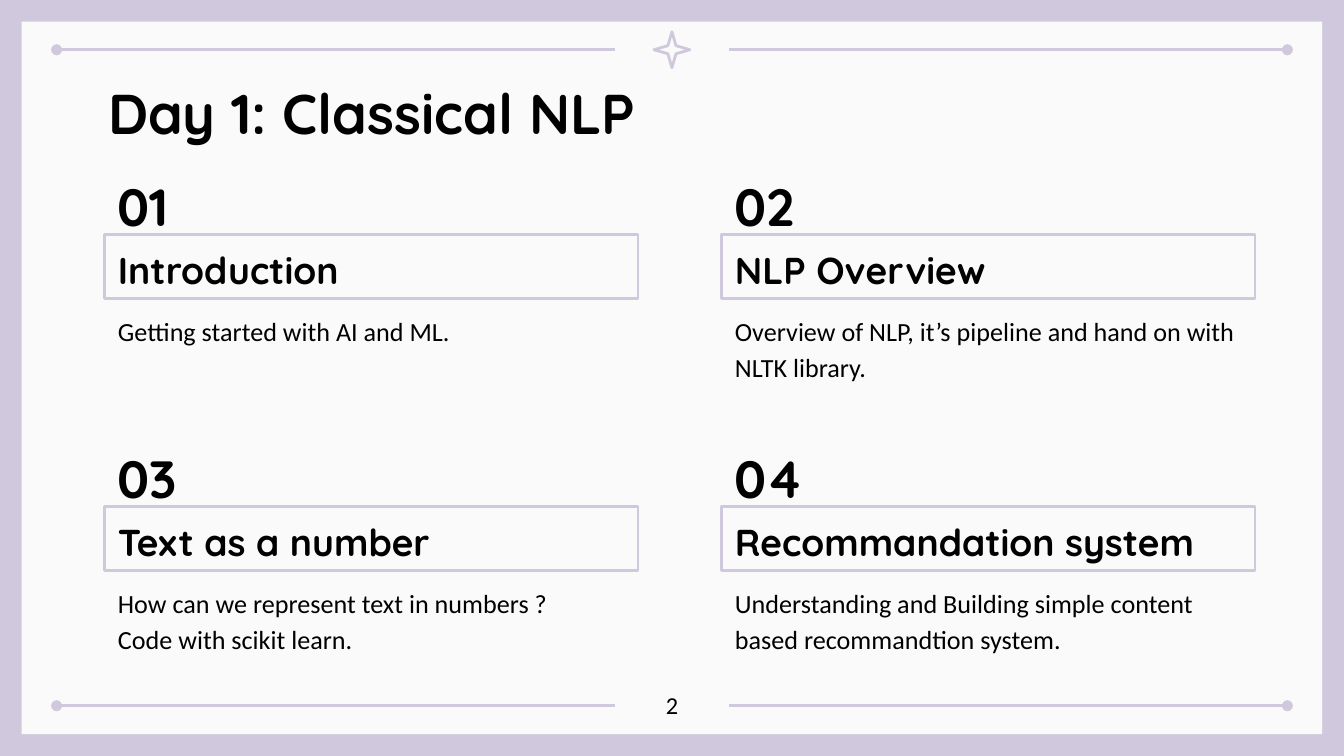
from lxml.etree import SubElement
from pptx import Presentation
from pptx.dml.color import RGBColor
from pptx.enum.shapes import MSO_CONNECTOR, MSO_SHAPE
from pptx.enum.text import MSO_ANCHOR, PP_ALIGN
from pptx.oxml.ns import qn
from pptx.util import Cm, Pt

LILAC = RGBColor(0xD0, 0xC9, 0xDD)
PAPER = RGBColor(0xFA, 0xFA, 0xFA)
BLACK = RGBColor(0, 0, 0)
HEAD_FONT = "Quicksand"
BODY_FONT = "Calibri"

WIDTH, HEIGHT = 25.4, 14.28
MARGIN = 0.41
LEFT, COLUMN_STEP = 1.98, 11.66
TOP, ROW_STEP = 3.18, 5.14
TOPIC_WIDTH = 10.08
TOPICS = [
    ("Introduction", ["Getting started with AI and ML."]),
    ("NLP Overview",
     ["Overview of NLP, it’s pipeline and hand on with NLTK library."]),
    ("Text as a number",
     ["How can we represent text in numbers ?", "Code with scikit learn."]),
    ("Recommandation system",
     ["Understanding and Building simple content based recommandtion system."]),
]


def write(sp, lines, size, font=BODY_FONT, bold=False, spacing=1.0,
          align=PP_ALIGN.LEFT, anchor=MSO_ANCHOR.TOP):
    tf = sp.text_frame
    tf.word_wrap = True
    tf.vertical_anchor = anchor
    tf.margin_left = tf.margin_right = Cm(0.25)
    tf.margin_top = tf.margin_bottom = Cm(0.25)
    for i, line in enumerate(lines):
        p = tf.add_paragraph() if i else tf.paragraphs[0]
        p.alignment = align
        p.line_spacing = spacing
        r = p.add_run()
        r.text = line
        r.font.name = font
        r.font.size = Pt(size)
        r.font.bold = bold
        r.font.color.rgb = BLACK


def add_text(s, x, y, w, h, lines, size, **fmt):
    sp = s.shapes.add_textbox(Cm(x), Cm(y), Cm(w), Cm(h))
    write(sp, lines, size, **fmt)


def add_outline(s, kind, x, y, w, h):
    sp = s.shapes.add_shape(kind, Cm(x), Cm(y), Cm(w), Cm(h))
    sp.shadow.inherit = False
    sp.fill.background()
    sp.line.color.rgb = LILAC
    sp.line.width = Pt(1.5)
    return sp


def add_rule(s, x1, x2, y, dot):
    line = s.shapes.add_connector(MSO_CONNECTOR.STRAIGHT,
                                  Cm(x1), Cm(y), Cm(x2), Cm(y))
    line.line.color.rgb = LILAC
    line.line.width = Pt(1.5)
    SubElement(line.line._get_or_add_ln(), qn(f"a:{dot}"), type="oval")
    SubElement(line._element.spPr, qn("a:effectLst"))


def add_frame(s):
    s.background.fill.solid()
    s.background.fill.fore_color.rgb = LILAC
    paper = s.shapes.add_shape(
        MSO_SHAPE.RECTANGLE, Cm(MARGIN), Cm(MARGIN),
        Cm(WIDTH - 2 * MARGIN), Cm(HEIGHT - 2 * MARGIN))
    paper.shadow.inherit = False
    paper.fill.solid()
    paper.fill.fore_color.rgb = PAPER
    paper.line.fill.background()
    for y in (0.94, 13.33):
        add_rule(s, 1.07, 11.63, y, "headEnd")
        add_rule(s, WIDTH - 11.63, WIDTH - 1.07, y, "tailEnd")
    star = add_outline(s, MSO_SHAPE.STAR_4_POINT, 12.36, 0.6, 0.68, 0.68)
    star.adjustments[0] = 0.16


def add_topic(s, index, heading, body):
    row, column = divmod(index, 2)
    x, y = LEFT + column * COLUMN_STEP, TOP + row * ROW_STEP
    fmt = dict(font=HEAD_FONT, bold=True, spacing=1.15,
               anchor=MSO_ANCHOR.MIDDLE)
    add_text(s, x, y, 1.83, 1.22, [f"{index + 1:02}"], 28, **fmt)
    box = add_outline(s, MSO_SHAPE.RECTANGLE, x, y + 1.25, TOPIC_WIDTH, 1.21)
    write(box, [heading], 20, **fmt)
    add_text(s, x, y + 2.44, TOPIC_WIDTH, 1.5, body, 14, spacing=1.15)


def main():
    prs = Presentation()
    prs.slide_width, prs.slide_height = Cm(WIDTH), Cm(HEIGHT)
    s = prs.slides.add_slide(prs.slide_layouts[6])
    add_frame(s)
    add_text(s, 1.8, 1.24, 21.39, 1.6, ["Day 1: Classical NLP"], 30,
             font=HEAD_FONT, bold=True)
    for index, (heading, body) in enumerate(TOPICS):
        add_topic(s, index, heading, body)
    add_text(s, 11.94, 12.78, 1.52, 0.91, ["2"], 13, align=PP_ALIGN.CENTER)
    prs.save("out.pptx")


if __name__ == "__main__":
    main()
